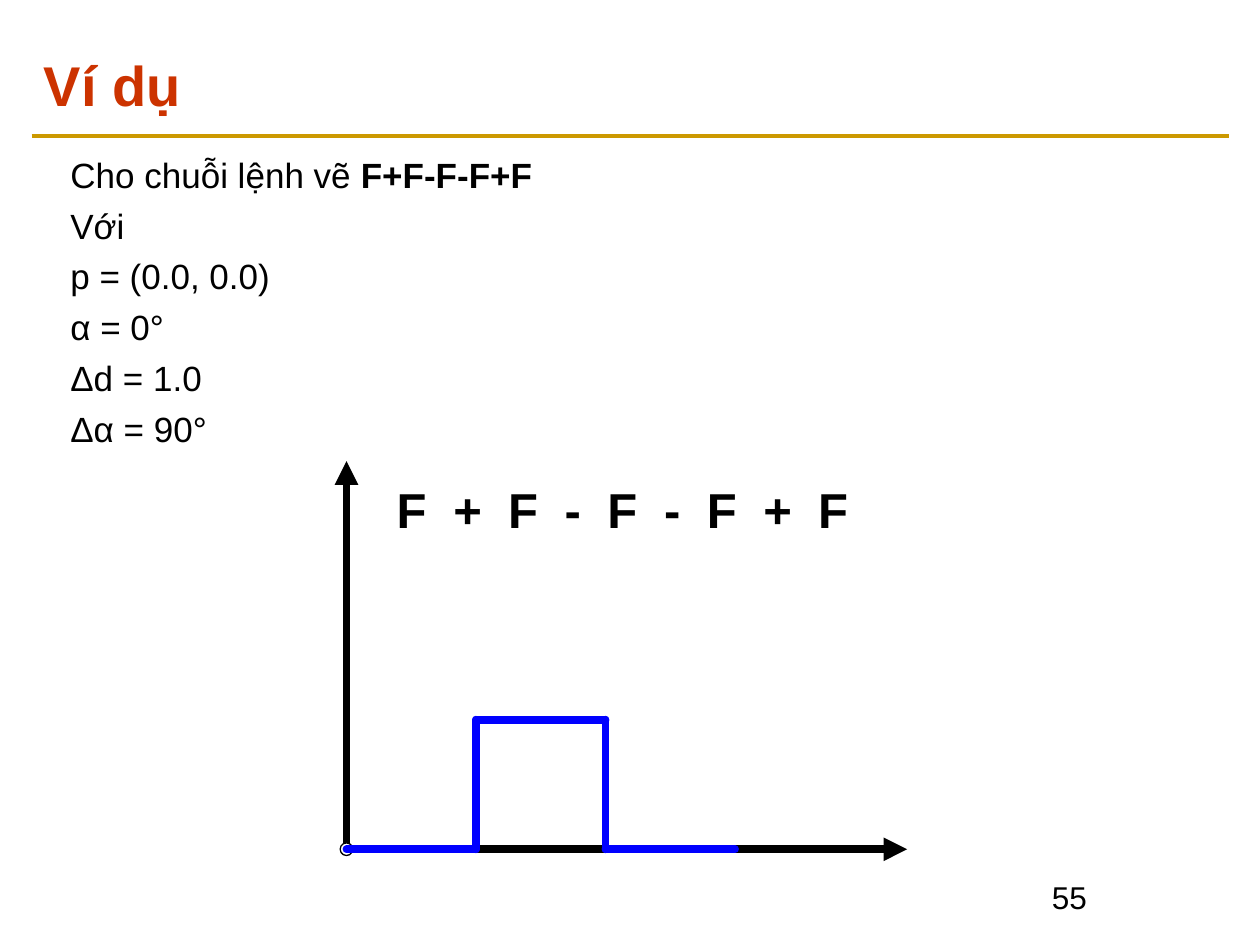
import math
import pptx
import pptx.util
import pptx.dml.color
import pptx.enum.shapes
import pptx.enum.text
from lxml import etree

Pt = pptx.util.Pt
RGBColor = pptx.dml.color.RGBColor
ANCHOR = pptx.enum.text.MSO_ANCHOR

BLACK = RGBColor(0x00, 0x00, 0x00)
WHITE = RGBColor(0xFF, 0xFF, 0xFF)
RED = RGBColor(0xCC, 0x33, 0x00)
GOLD = RGBColor(0xCC, 0x99, 0x00)
BLUE = RGBColor(0x00, 0x00, 0xFF)

TITLE = "Ví dụ"
COMMANDS = "F+F-F-F+F"
BODY = [
    [("Cho chuỗi lệnh vẽ ", False), (COMMANDS, True)],
    [("Với", False)],
    [("p = (0.0, 0.0)", False)],
    [("α = 0°", False)],
    [("Δd = 1.0", False)],
    [("Δα = 90°", False)],
]
PAGE_NUMBER = "55"

ORIGIN_X, ORIGIN_Y = 198, 485.3
AXIS_ENDS = [(518.4, ORIGIN_Y), (ORIGIN_X, 263.5)]
ORIGIN_DOT = 7.2
STEP = 74
TURN = {"+": 90, "-": -90}
COMMAND_WIDTHS = {"F": 32.4, "+": 31.2, "-": 24.4}
COMMAND_LEFT, COMMAND_TOP, COMMAND_HEIGHT = 219.6, 270.7, 41

presentation = pptx.Presentation()
presentation.slide_width = Pt(720)
presentation.slide_height = Pt(540)
slide = presentation.slides.add_slide(presentation.slide_layouts[6])


def add_text(paragraphs, left, top, width, height, size, color=BLACK,
             space_before=0, anchor=ANCHOR.TOP, wrap=True):
    box = slide.shapes.add_textbox(Pt(left), Pt(top), Pt(width), Pt(height))
    frame = box.text_frame
    frame.word_wrap = wrap
    frame.vertical_anchor = anchor
    for index, runs in enumerate(paragraphs):
        paragraph = frame.paragraphs[0] if index == 0 else frame.add_paragraph()
        if index:
            paragraph.space_before = Pt(space_before)
        for words, bold in runs:
            run = paragraph.add_run()
            run.text = words
            run.font.name = "Arial"
            run.font.size = Pt(size)
            run.font.bold = bold
            run.font.color.rgb = color


def add_line(start, end, color, width, arrow=False, round_cap=False):
    line = slide.shapes.add_connector(
        pptx.enum.shapes.MSO_CONNECTOR.STRAIGHT,
        *(Pt(value) for value in (*start, *end)))
    line.line.color.rgb = color
    line.line.width = Pt(width)
    properties = line.element.spPr
    outline = properties.find(pptx.oxml.ns.qn("a:ln"))
    if round_cap:
        outline.set("cap", "rnd")
    if arrow:
        etree.SubElement(outline, pptx.oxml.ns.qn("a:tailEnd"), type="triangle")
    etree.SubElement(properties, pptx.oxml.ns.qn("a:effectLst"))


add_line((18, 77.8), (702, 77.8), GOLD, 2.25)
add_text([[(PAGE_NUMBER, False)]], 594, 498.2, 108, 36, 18)
add_text([[(TITLE, True)]], 18, 23.8, 684, 48, 32, color=RED, anchor=ANCHOR.MIDDLE)
add_text(BODY, 33.1, 84.2, 655, 175, 20, space_before=5)

for axis_end in AXIS_ENDS:
    add_line((ORIGIN_X, ORIGIN_Y), axis_end, BLACK, 4.5, arrow=True)

origin = slide.shapes.add_shape(
    pptx.enum.shapes.MSO_SHAPE.OVAL,
    Pt(ORIGIN_X - ORIGIN_DOT / 2), Pt(ORIGIN_Y - ORIGIN_DOT / 2),
    Pt(ORIGIN_DOT), Pt(ORIGIN_DOT))
origin.shadow.inherit = False
origin.fill.solid()
origin.fill.fore_color.rgb = WHITE
origin.line.color.rgb = BLACK
origin.line.width = Pt(0.75)

x, y, angle = ORIGIN_X, ORIGIN_Y, 0
command_left = COMMAND_LEFT
for command in COMMANDS:
    if command == "F":
        next_x = x + STEP * math.cos(math.radians(angle))
        next_y = y - STEP * math.sin(math.radians(angle))
        add_line((x, y), (next_x, next_y), BLUE, 4.5, round_cap=True)
        x, y = next_x, next_y
    else:
        angle += TURN[command]
    width = COMMAND_WIDTHS[command]
    add_text([[(command, True)]], command_left, COMMAND_TOP, width,
             COMMAND_HEIGHT, 28, wrap=False)
    command_left += width

presentation.save("out.pptx")
